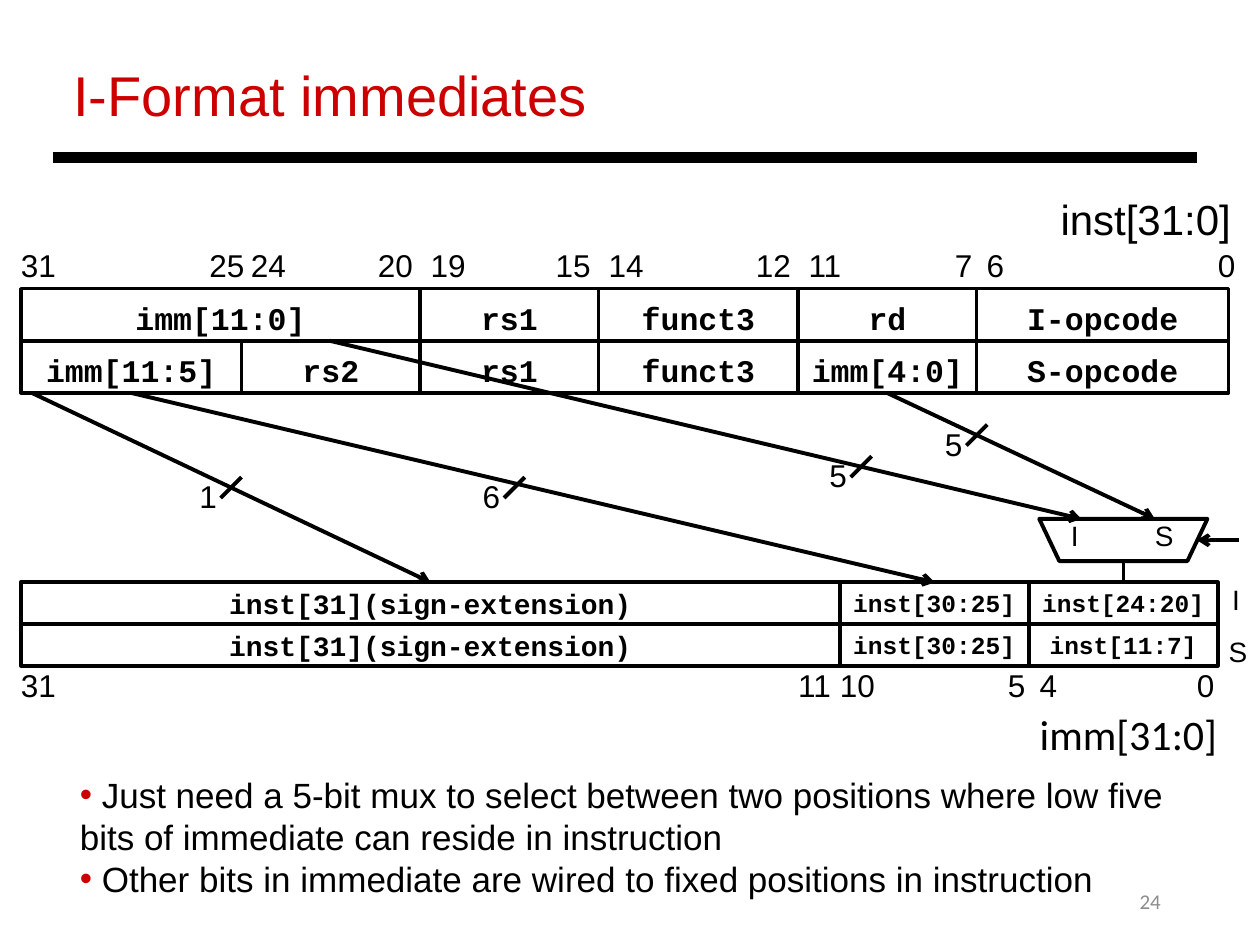
"""Builds the slide on RISC-V I-format and S-format immediates."""
from lxml.etree import SubElement
from pptx import Presentation
from pptx.dml.color import RGBColor
from pptx.enum.shapes import MSO_CONNECTOR, MSO_SHAPE
from pptx.enum.text import MSO_ANCHOR, MSO_AUTO_SIZE, PP_ALIGN
from pptx.oxml.ns import qn
from pptx.util import Cm, Pt

BLACK = RGBColor(0x00, 0x00, 0x00)
WHITE = RGBColor(0xFF, 0xFF, 0xFF)
RED = RGBColor(0xCC, 0x00, 0x00)
GREY = RGBColor(0x8C, 0x8C, 0x8C)

FIELD_HEIGHT = 1.05
I_ROW_TOP = 5.82
S_ROW_TOP = I_ROW_TOP + FIELD_HEIGHT
S_ROW_BOTTOM = S_ROW_TOP + FIELD_HEIGHT
I_EDGES = [0.42, 8.47, 12.07, 16.09, 19.69, 24.77]
S_EDGES = [0.42, 4.87, *I_EDGES[1:]]
I_FIELDS = ["imm[11:0]", "rs1", "funct3", "rd", "I-opcode"]
S_FIELDS = ["imm[11:5]", "rs2", "rs1", "funct3", "imm[4:0]", "S-opcode"]

IMM_TOP = 11.74
IMM_HEIGHT = 0.84
IMM_EDGES = [0.42, 16.93, 20.74, 24.55]
IMM_SIZES = [16, 14, 14]
IMM_ROWS = [
    ["inst[31](sign-extension)", "inst[30:25]", "inst[24:20]"],
    ["inst[31](sign-extension)", "inst[30:25]", "inst[11:7]"],
]

INST_BITS = [(31, 0.42), (25, 4.22), (24, 5.06), (20, 7.62), (19, 8.68),
             (15, 11.2), (14, 12.27), (12, 15.24), (11, 16.3), (7, 19.25),
             (6, 19.89), (0, 24.55)]
IMM_BITS = [(31, 0.42), (11, 16.09), (10, 16.93), (5, 20.32), (4, 20.96),
            (0, 24.13)]

MUX_TOP = 10.46
ARROWS = [
    ((2.64, S_ROW_BOTTOM), (18.84, IMM_TOP)),
    ((6.65, S_ROW_TOP), (21.8, MUX_TOP)),
    ((17.88, S_ROW_BOTTOM), (23.28, MUX_TOP)),
    ((0.64, S_ROW_BOTTOM), (8.68, IMM_TOP)),
    ((24.98, 10.89), (24.13, 10.89)),
]
BUS_WIDTHS = [("1", 4.02, 9.62), ("6", 9.73, 9.62), ("5", 16.72, 9.2),
              ("5", 19.05, 8.56)]
SELECTOR_MARKS = [("I", 21.59, MUX_TOP, 0.16), ("S", 23.28, MUX_TOP, 0.38),
                  ("I", 24.84, IMM_TOP, 0.16), ("S", 24.77, 12.79, 0.38)]
POINTS = [
    " Just need a 5-bit mux to select between two positions where low five "
    "bits of immediate can reside in instruction",
    " Other bits in immediate are wired to fixed positions in instruction",
]


def style(paragraph, size, face="Arial", color=BLACK, bold=False):
    """Set the font of a whole paragraph."""
    font = paragraph.font
    font.size = Pt(size)
    font.name = face
    font.color.rgb = color
    font.bold = bold


def add_text(page, words, left, top, width, height, size, **look):
    """Add a wrapping text box with one paragraph and return its frame."""
    box = page.shapes.add_textbox(Cm(left), Cm(top), Cm(width), Cm(height))
    frame = box.text_frame
    frame.word_wrap = True
    frame.text = words
    style(frame.paragraphs[0], size, **look)
    return frame


def add_label(page, words, left, top, width, size=18, face="Arial"):
    """Add a single-line label without margins."""
    frame = add_text(page, words, left, top, width, size * 0.042, size, face=face)
    frame.margin_left = frame.margin_right = 0
    frame.margin_top = frame.margin_bottom = 0
    frame.word_wrap = False
    frame.auto_size = MSO_AUTO_SIZE.SHAPE_TO_FIT_TEXT


def add_outline(page, kind, left, top, width, height, weight):
    """Add a white shape with a black outline."""
    shape = page.shapes.add_shape(kind, Cm(left), Cm(top), Cm(width), Cm(height))
    shape.shadow.inherit = False
    shape.fill.solid()
    shape.fill.fore_color.rgb = WHITE
    shape.line.color.rgb = BLACK
    shape.line.width = Pt(weight)
    return shape


def add_fields(page, names, edges, top, height, sizes, weight, drop=0):
    """Add a row of instruction fields between consecutive edges."""
    for name, left, right, size in zip(names, edges, edges[1:], sizes):
        field = add_outline(page, MSO_SHAPE.RECTANGLE, left, top,
                            right - left, height, weight)
        frame = field.text_frame
        frame.margin_left = frame.margin_right = 0
        frame.margin_top, frame.margin_bottom = Cm(drop), 0
        frame.vertical_anchor = MSO_ANCHOR.MIDDLE
        frame.text = name
        paragraph = frame.paragraphs[0]
        paragraph.alignment = PP_ALIGN.CENTER
        style(paragraph, size, face="Courier New", bold=True)


def add_line(page, start, end, weight=2.25, arrow=False):
    """Add a straight black line, optionally with an arrowhead at its end."""
    line = page.shapes.add_connector(MSO_CONNECTOR.STRAIGHT,
                                     *(Cm(value) for value in (*start, *end)))
    line.line.color.rgb = BLACK
    line.line.width = Pt(weight)
    if arrow:
        SubElement(line.line._get_or_add_ln(), qn("a:tailEnd"), type="arrow")
    SubElement(line._element.spPr, qn("a:effectLst"))


def add_bits(page, bits, top):
    """Add a row of bit numbers."""
    for number, left in bits:
        words = str(number)
        add_label(page, words, left, top, 0.36 * len(words))


def add_mux(page):
    """Add the multiplexer and its output wire."""
    mux = add_outline(page, MSO_SHAPE.TRAPEZOID, 20.95, MUX_TOP, 3.39, 0.85, 2.25)
    mux.rotation = 180
    mux.adjustments[0] = 0.475
    add_line(page, (22.65, MUX_TOP + 0.85), (22.65, IMM_TOP))


def add_bus_width(page, words, left, top):
    """Add a bus width with its slash across the wire."""
    add_label(page, words, left, top, 0.36)
    add_line(page, (left + 0.43, top + 0.42), (left + 0.85, top))


def add_points(page):
    """Add the bulleted remarks."""
    frame = add_text(page, POINTS[0], 1.36, 15.47, 22.63, 2.82, 20)
    for words in POINTS[1:]:
        frame.add_paragraph().text = words
    for paragraph in frame.paragraphs:
        properties = paragraph._p.get_or_add_pPr()
        properties.set("marL", "0")
        properties.set("indent", "0")
        color = SubElement(properties, qn("a:buClr"))
        SubElement(color, qn("a:srgbClr"), val=str(RED))
        SubElement(properties, qn("a:buFont"), typeface="Arial")
        SubElement(properties, qn("a:buChar"), char="•")
        style(paragraph, 20)


def main():
    """Build and save the slide."""
    deck = Presentation()
    deck.slide_width, deck.slide_height = Cm(25.4), Cm(19.05)
    page = deck.slides.add_slide(deck.slide_layouts[6])

    number = add_text(page, "24", 17.93, 17.65, 5.72, 1.02, 12,
                      face="Calibri", color=GREY)
    number.vertical_anchor = MSO_ANCHOR.MIDDLE
    number.paragraphs[0].alignment = PP_ALIGN.RIGHT
    add_text(page, "I-Format immediates", 1.23, 1.09, 19.56, 1.63, 32, color=RED)
    add_line(page, (1.06, 3.18), (24.13, 3.18), weight=6)
    add_points(page)

    add_fields(page, S_FIELDS, S_EDGES, S_ROW_TOP, FIELD_HEIGHT, [18] * 6, 2, 0.13)
    add_fields(page, I_FIELDS, I_EDGES, I_ROW_TOP, FIELD_HEIGHT, [18] * 5, 2, 0.13)
    for row, names in enumerate(IMM_ROWS):
        add_fields(page, names, IMM_EDGES, IMM_TOP + row * IMM_HEIGHT,
                   IMM_HEIGHT, IMM_SIZES, 2.25)
    add_label(page, "imm[31:0]", 20.96, 14.28, 3.6, 24, "Calibri")
    add_label(page, "inst[31:0]", 21.38, 3.91, 3.48, 24)
    add_bits(page, INST_BITS, 4.95)
    add_bits(page, IMM_BITS, 13.43)

    add_mux(page)
    for start, end in ARROWS:
        add_line(page, start, end, arrow=True)
    for words, left, top in BUS_WIDTHS:
        add_bus_width(page, words, left, top)
    for words, left, top, width in SELECTOR_MARKS:
        add_label(page, words, left, top, width, 16)
    deck.save("out.pptx")


if __name__ == "__main__":
    main()
